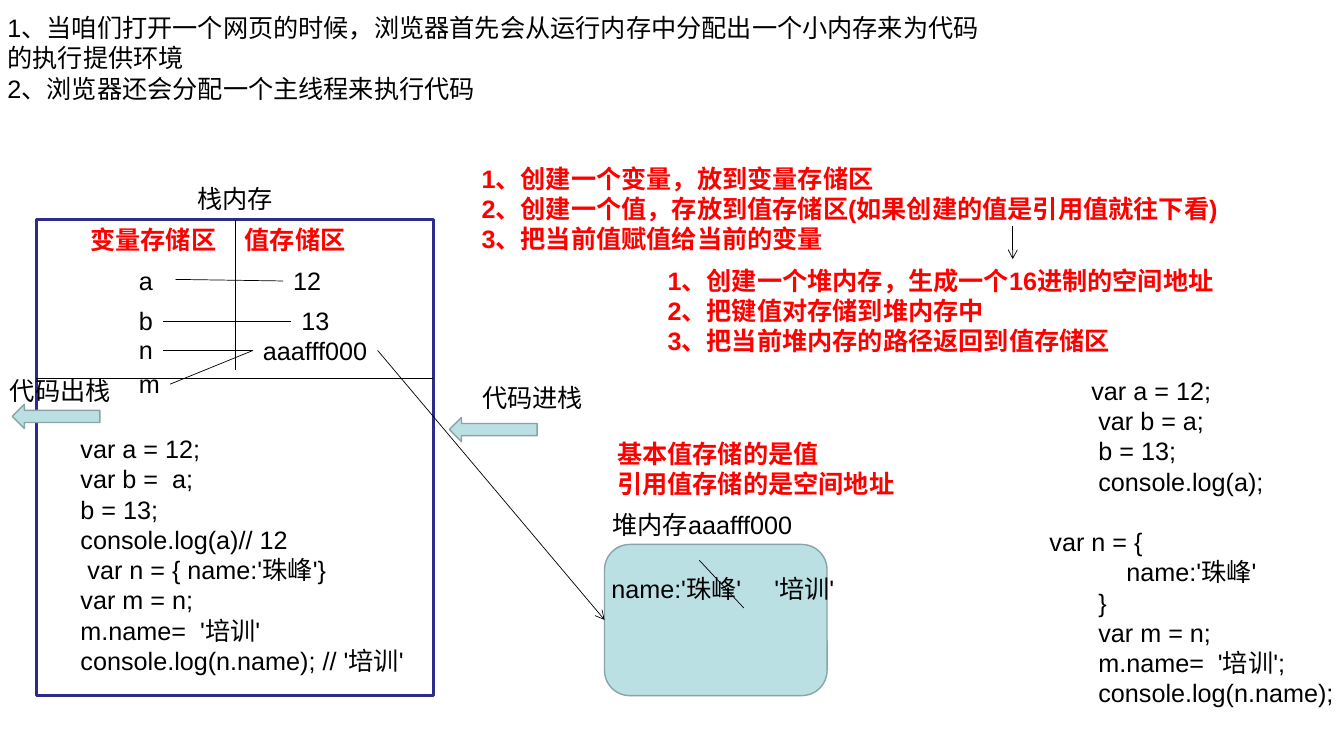
"""Build a slide on stack memory, heap memory and reference values."""
from lxml.etree import SubElement as Sub
from pptx import Presentation
from pptx.dml.color import RGBColor as RGB
from pptx.enum.shapes import MSO_CONNECTOR as LINK, MSO_SHAPE as KIND
from pptx.enum.text import MSO_AUTO_SIZE as AUTO
from pptx.oxml.ns import qn
from pptx.util import Cm, Pt

BLACK, RED, WHITE = "000000", "FF0000", "FFFFFF"
NAVY, TEAL, GREY = "2D2D89", "BBE0E3", "89A4A7"


def hue(code):
    return RGB.from_string(code)


def write(left, top, wide, text, tint=BLACK):
    lines = text.split("\n")
    box = slide.shapes.add_textbox(Cm(left), Cm(top), Cm(wide), Cm(0.25 + 0.77 * len(lines)))
    frame = box.text_frame
    frame.word_wrap = False
    frame.auto_size = AUTO.SHAPE_TO_FIT_TEXT
    frame.text = text
    for para in frame.paragraphs:
        font = para.font
        font.name, font.size, font.bold = "Arial", Pt(18), tint == RED
        font.color.rgb = hue(tint)
    return frame


deck = Presentation()
deck.slide_width, deck.slide_height = Cm(33.88), Cm(19.05)
slide = deck.slides.add_slide(deck.slide_layouts[6])

shapes = [
    (KIND.RECTANGLE, 0.92, 5.54, 10.01, 11.99, WHITE, NAVY, 2.25),
    (KIND.LEFT_ARROW, 11.33, 10.52, 2.21, 0.61, TEAL, GREY, 1),
    (KIND.LEFT_ARROW, 0.31, 10.19, 2.21, 0.61, TEAL, GREY, 1),
    (KIND.ROUNDED_RECTANGLE, 15.24, 13.72, 5.61, 3.81, TEAL, GREY, 1),
]
for kind, left, top, wide, high, fill, edge, width in shapes:
    shape = slide.shapes.add_shape(kind, Cm(left), Cm(top), Cm(wide), Cm(high))
    shape.shadow.inherit = False
    shape.fill.solid()
    shape.fill.fore_color.rgb = hue(fill)
    shape.line.color.rgb = hue(edge)
    shape.line.width = Pt(width)

links = [
    (0.92, 9.53, 10.92, 9.53, False),
    (5.94, 5.54, 5.94, 9.32, False),
    (7.14, 7.08, 4.42, 7.04, False),
    (7.34, 8.09, 4.11, 8.09, False),
    (4.11, 8.83, 6.38, 8.83, False),
    (6.38, 8.83, 4.29, 9.68, False),
    (17.63, 14.12, 18.75, 15.32, False),
    (25.53, 5.69, 25.53, 6.53, True),
    (9.52, 8.83, 15.24, 15.62, True),
]
for *ends, arrow in links:
    link = slide.shapes.add_connector(LINK.STRAIGHT, *map(Cm, ends))
    link.line.color.rgb = hue(BLACK)
    link.line.width = Pt(0.5)
    if arrow:
        Sub(link.line._get_or_add_ln(), qn("a:tailEnd"), type="arrow")
    Sub(link._element.spPr, qn("a:effectLst"))

write(-0.06, 0.19, 25.15, """1、当咱们打开一个网页的时候，浏览器首先会从运行内存中分配出一个小内存来为代码
的执行提供环境
2、浏览器还会分配一个主线程来执行代码""")

labels = [
    (4.72, 4.5, 2.41, "栈内存"),
    (11.91, 9.5, 3.05, "代码进栈"),
    (0, 9.33, 3.05, "代码出栈"),
    (3.25, 6.55, 0.86, "a"),
    (3.25, 7.57, 0.86, "b"),
    (3.25, 8.31, 0.86, "n"),
    (3.25, 9.16, 1.04, "m"),
    (7.14, 6.55, 1.22, "12"),
    (7.35, 7.57, 1.22, "13"),
    (6.38, 8.32, 3.15, "aaafff000"),
    (15.19, 12.7, 5.21, "堆内存aaafff000"),
    (15.16, 14.32, 4.8, "name:'珠峰'"),
    (19.27, 14.32, 2.6, "'培训'"),
]
for label in labels:
    write(*label)

write(2.03, 5.54, 3.68, "变量存储区", RED)
write(5.92, 5.54, 3.05, "值存储区", RED)
write(11.89, 3.99, 21, """1、创建一个变量，放到变量存储区
2、创建一个值，存放到值存储区(如果创建的值是引用值就往下看)
3、把当前值赋值给当前的变量""", RED)
write(16.58, 6.56, 16, """1、创建一个堆内存，生成一个16进制的空间地址
2、把键值对存储到堆内存中
3、把当前堆内存的路径返回到值存储区""", RED)
write(15.31, 10.92, 7.6, """基本值存储的是值
引用值存储的是空间地址""", RED)

write(1.78, 10.8, 8.97, """var a = 12;
var b =  a;
b = 13;
console.log(a)// 12
 var n = { name:'珠峰'}
var m = n;
m.name=  '培训'
console.log(n.name); // '培训'""")
code = write(26.03, 9.33, 7.85, """       var a = 12;
        var b = a;
        b = 13;
        console.log(a);
 var n = {
            name:'珠峰'
        }
        var m = n;
        m.name=  '培训';
        console.log(n.name);""")
code.paragraphs[4].space_before = Pt(21.6)

deck.save("out.pptx")
